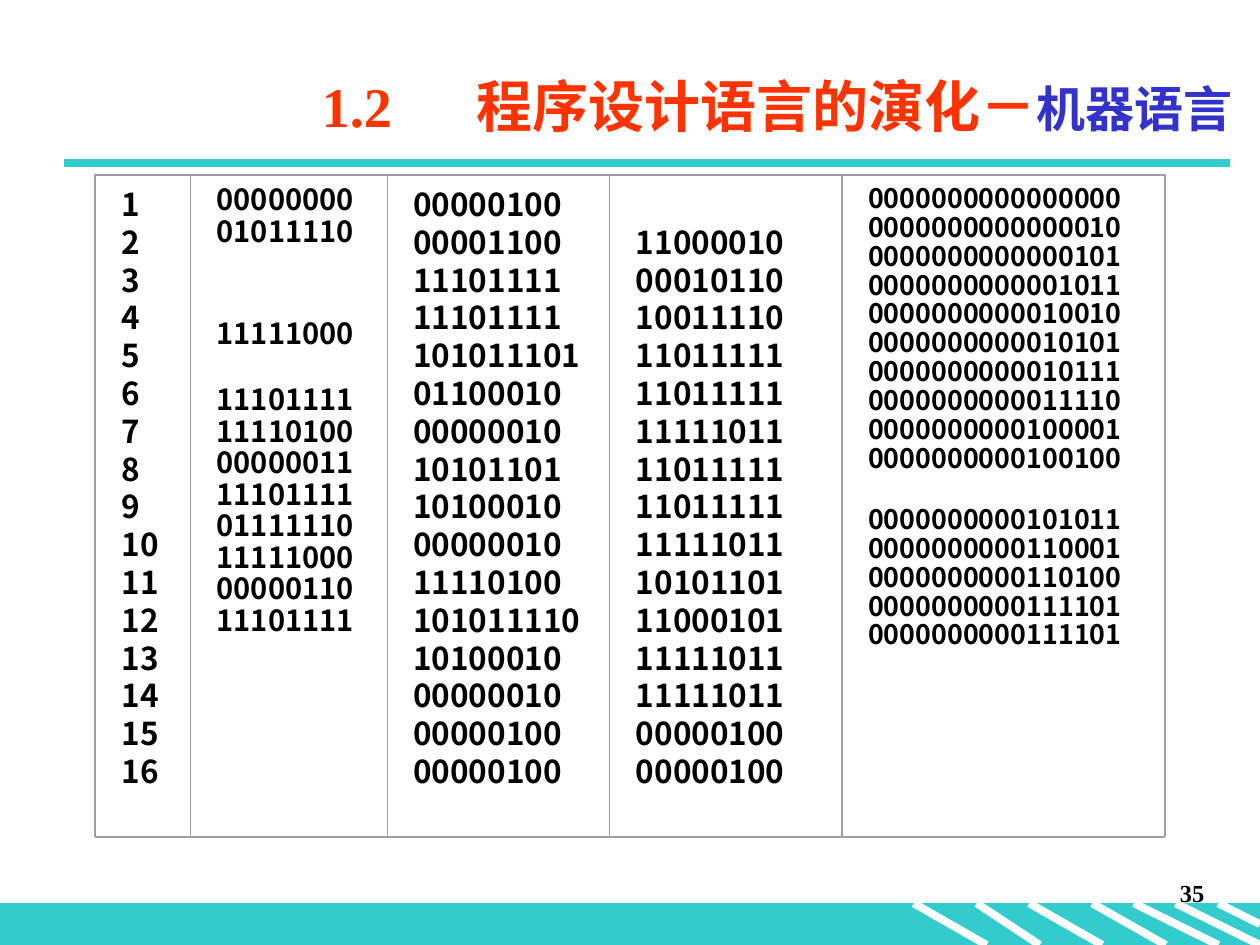
from lxml import etree
from pptx import Presentation
from pptx.dml.color import RGBColor
from pptx.enum.shapes import MSO_CONNECTOR, MSO_SHAPE
from pptx.enum.text import MSO_ANCHOR, PP_ALIGN
from pptx.oxml.ns import qn
from pptx.util import Cm, Pt

STRAIGHT = MSO_CONNECTOR.STRAIGHT
RECTANGLE = MSO_SHAPE.RECTANGLE
MIDDLE = MSO_ANCHOR.MIDDLE
TOP = MSO_ANCHOR.TOP
RIGHT = PP_ALIGN.RIGHT
LEFT = PP_ALIGN.LEFT

COLORS = {"teal": "33CCCC", "white": "FFFFFF", "black": "000000",
          "red": "FF3300", "blue": "3333CC", "grey": "A0A0A0"}
SERIF = "Times New Roman"
SANS = "Noto Sans CJK SC"

COLUMNS = [
    {"width": 1.91, "size": 18, "spacing": 21.6, "gaps": {},
     "lines": [str(number) for number in range(1, 17)]},
    {"width": 3.96, "size": 16.6, "spacing": 18, "gaps": {2: 40.6, 3: 19.7},
     "lines": """00000000 01011110 11111000 11101111 11110100 00000011
                 11101111 01111110 11111000 00000110 11101111""".split()},
    {"width": 4.49, "size": 18, "spacing": 21.6, "gaps": {},
     "lines": """00000100 00001100 11101111 11101111 101011101 01100010
                 00000010 10101101 10100010 00000010 11110100 101011110
                 10100010 00000010 00000100 00000100""".split()},
    {"width": 4.68, "size": 18, "spacing": 21.6, "gaps": {0: 21.6},
     "lines": """11000010 00010110 10011110 11011111 11011111 11111011
                 11011111 11011111 11111011 10101101 11000101 11111011
                 11111011 00000100 00000100""".split()},
    {"width": 6.5, "size": 15.3, "spacing": 16.5, "gaps": {10: 18.4},
     "lines": [format(address, "016b") for address in
               (0, 2, 5, 11, 18, 21, 23, 30, 33, 36, 43, 49, 52, 61, 61)]},
]


def set_values(target, values):
    for name, value in values.items():
        setattr(target, name, value)


def add_run(paragraph, text, size, color, latin=SERIF):
    run = paragraph.add_run()
    run.text = text
    set_values(run.font, {"size": Pt(size), "bold": True, "name": latin})
    run.font.color.rgb = RGBColor.from_string(COLORS[color])
    properties = run.font._element
    etree.SubElement(properties, qn("a:ea")).set("typeface", SANS)
    return properties


def add_line(slide, start, end, color):
    line = slide.shapes.add_connector(STRAIGHT, *map(Cm, start + end))
    line.line.color.rgb = RGBColor.from_string(COLORS[color])
    line.line.width = Pt(4.5)
    etree.SubElement(line._element.spPr, qn("a:effectLst"))


def add_title(slide, left, top, width, height):
    title = slide.shapes.title
    set_values(title, {"left": Cm(left), "top": Cm(top),
                       "width": Cm(width), "height": Cm(height)})
    set_values(title.text_frame, {"vertical_anchor": MIDDLE, "word_wrap": True})
    paragraph = title.text_frame.paragraphs[0]
    paragraph.alignment = RIGHT
    add_run(paragraph, "1.2", 32, "red")
    add_run(paragraph, " ", 32, "red").set("spc", "4000")
    add_run(paragraph, "程序设计语言的演化－", 32, "red")
    add_run(paragraph, "机器语言", 28, "blue")


def add_column(slide, left, top, height, column):
    box = slide.shapes.add_textbox(Cm(left), Cm(top), Cm(column["width"]), Cm(height))
    box.line.color.rgb = RGBColor.from_string(COLORS["grey"])
    box.line.width = Pt(0.25)
    frame = box.text_frame
    first_gap = column["gaps"].get(0, 0)
    set_values(frame, {"word_wrap": True, "vertical_anchor": TOP,
                       "margin_left": Cm(0.53), "margin_right": Cm(0.1),
                       "margin_top": Cm(0.2) + Pt(first_gap)})
    for index, text in enumerate(column["lines"]):
        paragraph = frame.add_paragraph() if index else frame.paragraphs[0]
        gap = column["gaps"].get(index, 0) if index else 0
        set_values(paragraph, {"alignment": LEFT, "space_before": Pt(gap),
                               "line_spacing": Pt(column["spacing"])})
        add_run(paragraph, text, column["size"], "black", SANS)


def add_code_grid(slide, left, top, width, height):
    column_left = left + 0.03
    for column in COLUMNS:
        add_column(slide, column_left, top, height, column)
        column_left += column["width"]
    border = slide.shapes.add_shape(RECTANGLE, Cm(left), Cm(top), Cm(width), Cm(height))
    border.shadow.inherit = False
    border.fill.background()
    border.line.color.rgb = RGBColor.from_string(COLORS["grey"])
    border.line.width = Pt(0.75)


def add_footer(slide, left, top, width, height):
    band = slide.shapes.add_shape(RECTANGLE, Cm(left), Cm(top), Cm(width), Cm(height))
    band.shadow.inherit = False
    band.fill.solid()
    for color in (band.fill.fore_color, band.line.color):
        color.rgb = RGBColor.from_string(COLORS["teal"])
    band.line.width = Pt(0.75)
    stripes = [(18.42, 19.89), (19.69, 20.96), (20.75, 22.22), (22.02, 23.5),
               (22.86, 24.56), (23.7, 25.4)]
    for start, end in stripes:
        add_line(slide, (left + start, top), (left + end, top + height), "white")
    add_line(slide, (left + 24.56, top), (left + width, top + height / 2), "white")


def add_slide_number(slide, left, top, width, height):
    box = slide.shapes.add_textbox(Cm(left), Cm(top), Cm(width), Cm(height))
    box.text_frame.word_wrap = True
    paragraph = box.text_frame.paragraphs[0]
    paragraph.alignment = RIGHT
    add_run(paragraph, "35", 14, "black")


def main():
    presentation = Presentation()
    set_values(presentation, {"slide_width": Cm(25.4), "slide_height": Cm(19.05)})
    slide = presentation.slides.add_slide(presentation.slide_layouts[5])
    add_footer(slide, 0, 18.21, 25.4, 0.84)
    add_line(slide, (1.3, 3.28), (24.79, 3.28), "teal")
    add_slide_number(slide, 19.25, 17.58, 5.28, 1.27)
    add_code_grid(slide, 1.9, 3.53, 21.6, 13.34)
    add_title(slide, 3.5, 1.12, 21.6, 2)
    presentation.save("out.pptx")


if __name__ == "__main__":
    main()
